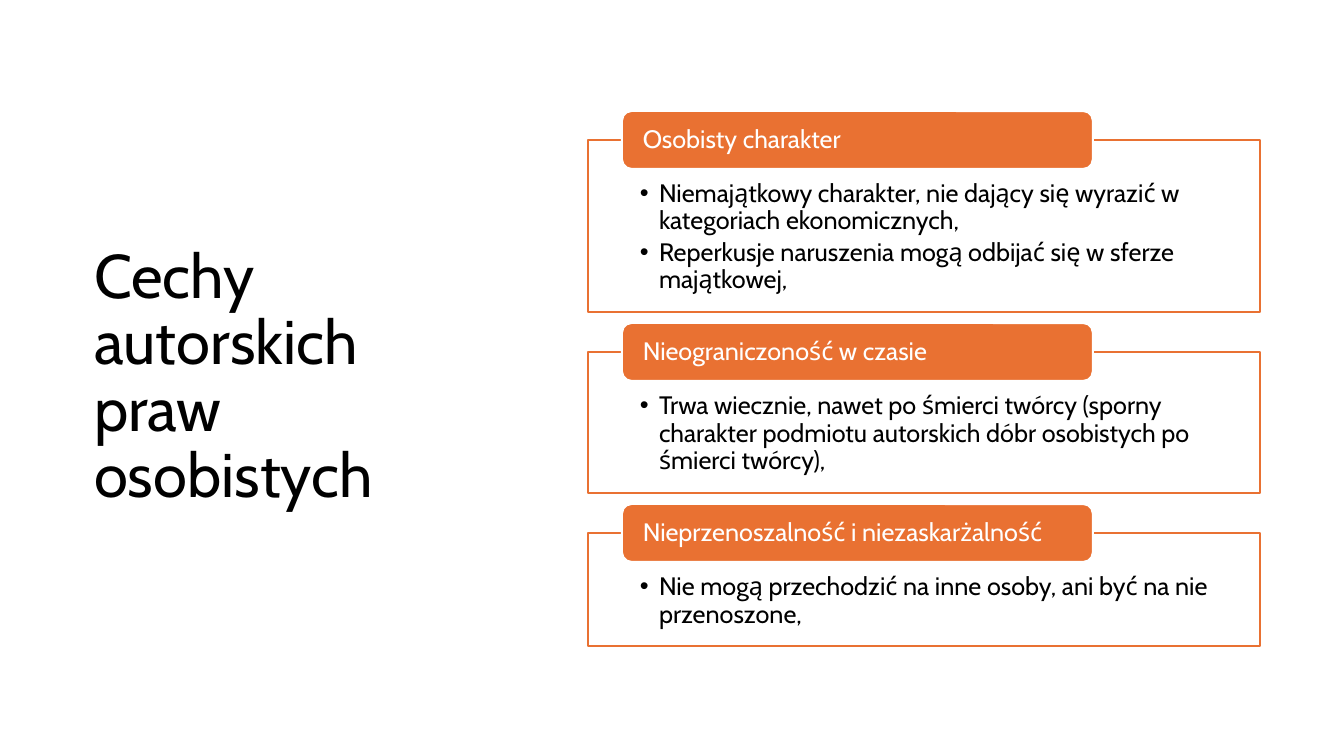
from lxml import etree
from pptx import Presentation
from pptx.dml.color import RGBColor
from pptx.enum.shapes import MSO_SHAPE as Shape
from pptx.enum.text import MSO_ANCHOR as Anchor, PP_ALIGN as Align
from pptx.oxml.ns import qn
from pptx.util import Pt

SCALE = 12192000 / 1344  # EMU per px
COLORS = {name: RGBColor.from_string(code) for name, code in {
    "black": "000000", "white": "FFFFFF", "orange": "E97132"}.items()}


def px(length):
    return round(length * SCALE)


def write(box, texts, size, color, anchor, margins, bullets=False):
    frame = box.text_frame
    sides = ("margin_left", "margin_top", "margin_right", "margin_bottom")
    layout = {"word_wrap": True, "vertical_anchor": anchor,
              **{side: px(margin) for side, margin in zip(sides, margins)}}
    for name, value in layout.items():
        setattr(frame, name, value)
    for index, text in enumerate(texts):
        para = frame.add_paragraph() if index else frame.paragraphs[0]
        para.alignment, para.line_spacing = Align.LEFT, 0.9
        if bullets:
            para.level, para.space_after = 1, Pt(3)
            props = para._p.get_or_add_pPr()
            props.set("marL", str(px(19)))
            props.set("indent", str(px(-19)))
            etree.SubElement(props, qn("a:buFont"), typeface="Arial")
            etree.SubElement(props, qn("a:buChar"), char="•")
        span = para.add_run()
        span.text = text
        for name, value in {"name": "Cabin", "size": Pt(size)}.items():
            setattr(span.font, name, value)
        span.font.color.rgb = COLORS[color]


deck = Presentation()
deck.slide_width, deck.slide_height = px(1344), px(756)
page = deck.slides.add_slide(deck.slide_layouts[6])

# Title
title = page.shapes.add_textbox(px(84), px(168), px(336), px(420))
write(title, ["Cechy autorskich praw osobistych"], 44, "black",
      Anchor.MIDDLE, (10, 5, 10, 5))

# Features: heading, panel height, points
FEATURES = [
    ("Osobisty charakter", 172,
     ["Niemajątkowy charakter, nie dający się wyrazić w kategoriach ekonomicznych,",
      "Reperkusje naruszenia mogą odbijać się w sferze majątkowej,"]),
    ("Nieograniczoność w czasie", 141,
     ["Trwa wiecznie, nawet po śmierci twórcy (sporny charakter podmiotu "
      "autorskich dóbr osobistych po śmierci twórcy),"]),
    ("Nieprzenoszalność i niezaskarżalność", 113,
     ["Nie mogą przechodzić na inne osoby, ani być na nie przenoszone,"]),
]
TAB_HEIGHT, GAP = 58, 40

top = 140
for heading, height, points in FEATURES:
    panel = page.shapes.add_shape(
        Shape.RECTANGLE, px(588), px(top), px(672), px(height))
    tab = page.shapes.add_shape(
        Shape.ROUNDED_RECTANGLE, px(622), px(top - TAB_HEIGHT / 2),
        px(471), px(TAB_HEIGHT))
    for box, fill, line in ((panel, "white", "orange"), (tab, "orange", "white")):
        box.shadow.inherit = False
        box.fill.solid()
        box.fill.fore_color.rgb = COLORS[fill]
        box.line.color.rgb = COLORS[line]
        box.line.width = Pt(1.5)
    # Panel fill is 90% opaque
    tint = panel._element.spPr.find(qn("a:solidFill"))[0]
    etree.SubElement(tint, qn("a:alpha"), val="90000")
    write(panel, points, 18, "black", Anchor.TOP, (52, 41, 52, 14), bullets=True)
    write(tab, [heading], 18, "white", Anchor.MIDDLE, (18, 0, 18, 0))
    top += height + GAP

deck.save("out.pptx")
